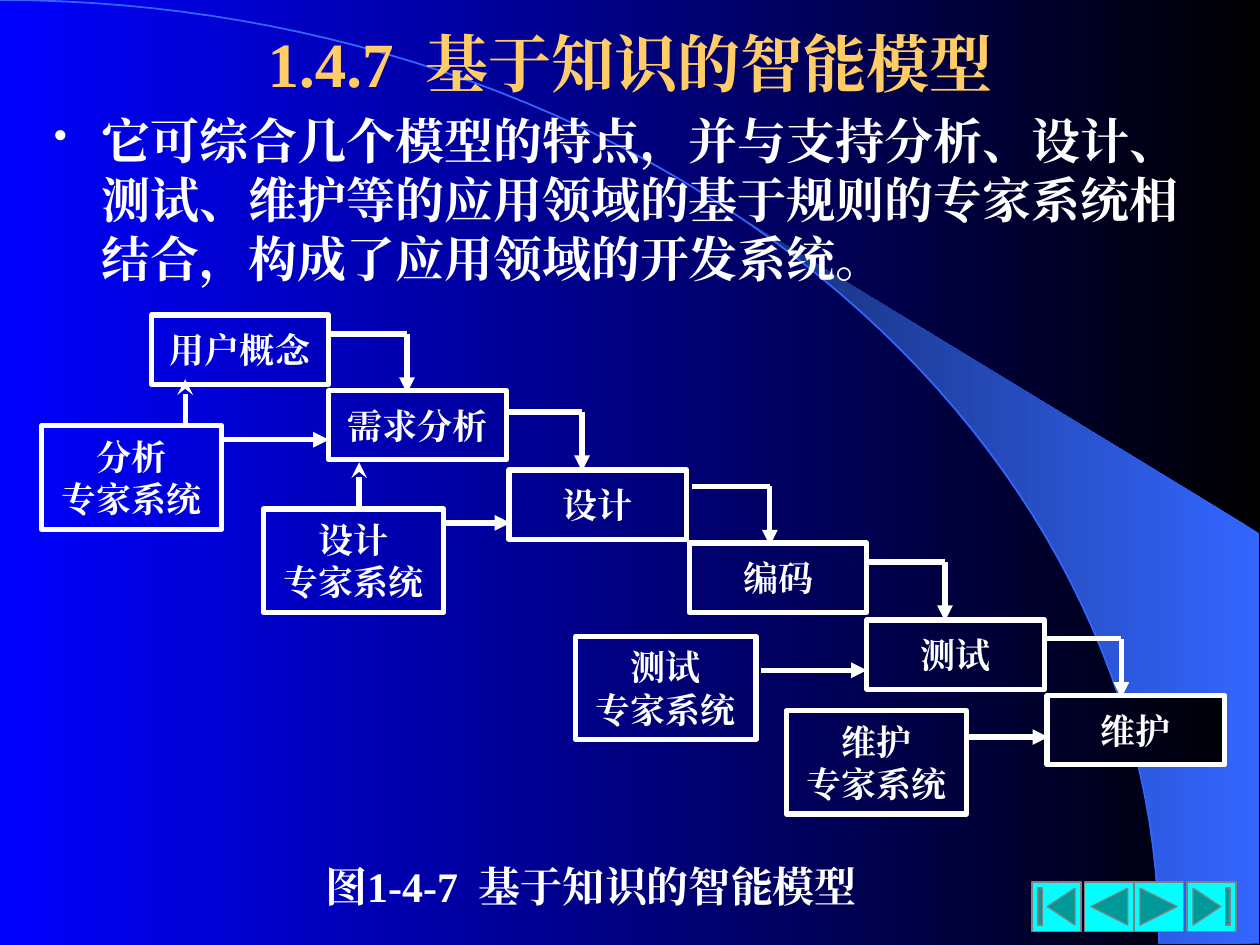
import math
from dataclasses import dataclass

import pptx
import pptx.dml.color
import pptx.enum.dml
import pptx.enum.shapes
import pptx.enum.text
import pptx.oxml
import pptx.oxml.ns
import pptx.util

Inches = pptx.util.Inches
Pt = pptx.util.Pt
MSO = pptx.enum.shapes.MSO_SHAPE
ALIGN = pptx.enum.text.PP_ALIGN
ANCHOR = pptx.enum.text.MSO_ANCHOR
NS = pptx.oxml.ns.nsdecls("a")
FONT = "Times New Roman"
WHITE = "FFFFFF"


@dataclass
class Box:
    text: str
    x: float
    y: float
    w: float = 1.41
    h: float = 0.55


@dataclass
class Arrow:
    x1: float
    y1: float
    x2: float
    y2: float
    head: str = ""
    tail: str = ""


def rgb(value: str):
    return pptx.dml.color.RGBColor.from_string(value)


def set_gradient(fill, start: str, end: str) -> None:
    fill.gradient()
    fill.gradient_angle = 180
    for stop, color, position in zip(fill.gradient_stops, (start, end), (0, 1)):
        stop.color.rgb = rgb(color)
        stop.position = position


def set_line(line, color: str, width: float) -> None:
    line.color.rgb = rgb(color)
    line.width = Pt(width)


def write(sp, text: str, size: int, color: str, align, anchor, inset=(0, 0)) -> None:
    tf = sp.text_frame
    left, top = (Inches(v) for v in inset)
    frame = {"word_wrap": True, "vertical_anchor": anchor, "margin_left": left,
             "margin_right": left, "margin_top": top, "margin_bottom": top}
    for name, value in frame.items():
        setattr(tf, name, value)
    tf.text = text
    for p in tf.paragraphs:
        p.alignment = align
        for r in p.runs:
            for name, value in {"size": Pt(size), "bold": True, "name": FONT}.items():
                setattr(r.font, name, value)
            r.font.color.rgb = rgb(color)
            r.font._element.append(
                pptx.oxml.parse_xml(f'<a:ea {NS} typeface="{FONT}"/>'))


def add_outline(s, points: list, close: bool):
    scaled = [(Inches(x), Inches(y)) for x, y in points]
    builder = s.shapes.build_freeform(*scaled[0])
    builder.add_line_segments(scaled[1:], close=close)
    sp = builder.convert_to_shape()
    sp.shadow.inherit = False
    return sp


def arc_points(start: float, steps: int = 60) -> list:
    rx, ry = 9.2, 7.49
    angles = [start * (1 - i / steps) for i in range(steps + 1)]
    return [(rx * math.cos(a), ry * (1 - math.sin(a))) for a in angles]


def add_backdrop(s) -> None:
    set_gradient(s.background.fill, "000000", "0000FF")
    beam = add_outline(s, arc_points(math.acos(0.64)) + [(9.99, 7.49), (9.99, 4.23)], True)
    set_gradient(beam.fill, "3366FF", "172F75")
    beam.line.fill.background()
    arc = add_outline(s, arc_points(math.pi / 2), False)
    arc.fill.background()
    set_line(arc.line, "3366FF", 1)
    for sp in (arc, beam):
        s.shapes._spTree.insert(2, sp._element)


def add_box(s, box: Box) -> None:
    sp = s.shapes.add_shape(MSO.RECTANGLE, *map(Inches, (box.x, box.y, box.w, box.h)))
    sp.shadow.inherit = False
    sp._element.set("useBgFill", "1")
    set_line(sp.line, WHITE, 3)
    write(sp, box.text, 20, WHITE, ALIGN.CENTER, ANCHOR.MIDDLE)


def add_arrow(s, arrow: Arrow) -> None:
    ends = map(Inches, (arrow.x1, arrow.y1, arrow.x2, arrow.y2))
    cxn = s.shapes.add_connector(pptx.enum.shapes.MSO_CONNECTOR.STRAIGHT, *ends)
    set_line(cxn.line, WHITE, 3)
    ln = cxn.line._get_or_add_ln()
    for tag, kind in (("headEnd", arrow.head), ("tailEnd", arrow.tail)):
        if kind:
            ln.append(pptx.oxml.parse_xml(f'<a:{tag} {NS} type="{kind}"/>'))
    cxn._element.spPr.append(pptx.oxml.parse_xml(f"<a:effectLst {NS}/>"))


def add_elbow(s, x: float, y: float) -> None:
    corner = x + 0.62
    add_arrow(s, Arrow(x, y, corner, y))
    add_arrow(s, Arrow(corner, y, corner, y + 0.47, tail="triangle"))


def add_text(s, x: float, y: float, w: float, h: float):
    return s.shapes.add_textbox(*map(Inches, (x, y, w, h)))


def add_body(s) -> None:
    sp = add_text(s, 0.33, 0.83, 9.25, 1.58)
    write(sp, "它可综合几个模型的特点，并与支持分析、设计、测试、维护等的应用领域的"
              "基于规则的专家系统相结合，构成了应用领域的开发系统。",
          28, WHITE, ALIGN.LEFT, ANCHOR.TOP, (0.1, 0.05))
    pPr = sp.text_frame.paragraphs[0]._p.get_or_add_pPr()
    pPr.set("marL", str(Inches(0.38)))
    pPr.set("indent", str(-Inches(0.38)))
    for xml in (f'<a:buClr {NS}><a:srgbClr val="{WHITE}"/></a:buClr>',
                f'<a:buSzPct {NS} val="80000"/>',
                f'<a:buChar {NS} char="•"/>'):
        pPr.append(pptx.oxml.parse_xml(xml))


STAGES = [Box("用户概念", 1.2, 2.5), Box("需求分析", 2.61, 3.1), Box("设计", 4.04, 3.73),
          Box("编码", 5.47, 4.31), Box("测试", 6.88, 4.92), Box("维护", 8.31, 5.52)]
EXPERTS = [Box(f"{name}\n专家系统", x, y, 1.43, 0.82) for name, x, y in
           (("分析", 0.33, 3.38), ("设计", 2.09, 4.04),
            ("测试", 4.57, 5.05), ("维护", 6.24, 5.64))]
ELBOWS = [(2.61, 2.65), (4, 3.27), (5.49, 3.86), (6.88, 4.46), (8.28, 5.07)]
ARROWS = [Arrow(1.47, 3.01, 1.47, 3.38, head="stealth"),
          Arrow(2.85, 3.67, 2.85, 4.04, head="stealth")]
ARROWS += [Arrow(x1, y, x2, y, tail="triangle") for x1, x2, y in
           ((1.76, 2.61, 3.49), (3.52, 4.05, 4.15), (6.04, 6.88, 5.32), (7.66, 8.32, 5.85))]
BUTTONS = [(MSO.ACTION_BUTTON_BEGINNING, 8.19), (MSO.ACTION_BUTTON_BACK_OR_PREVIOUS, 8.61),
           (MSO.ACTION_BUTTON_FORWARD_OR_NEXT, 9), (MSO.ACTION_BUTTON_END, 9.42)]


def main() -> None:
    prs = pptx.Presentation()
    prs.slide_width, prs.slide_height = Inches(10), Inches(7.5)
    s = prs.slides.add_slide(prs.slide_layouts[5])
    add_backdrop(s)
    title = s.shapes.title
    place = {"left": 0.75, "top": 0.08, "width": 8.5, "height": 0.83}
    for name, value in place.items():
        setattr(title, name, Inches(value))
    write(title, "1.4.7  基于知识的智能模型", 36, "FFCC66",
          ALIGN.CENTER, ANCHOR.MIDDLE, (0.1, 0.05))
    add_body(s)
    for box in STAGES + EXPERTS:
        add_box(s, box)
    for x, y in ELBOWS:
        add_elbow(s, x, y)
    for arrow in ARROWS:
        add_arrow(s, arrow)
    write(add_text(s, 2.58, 6.83, 4.76, 0.45), "图1-4-7  基于知识的智能模型",
          24, WHITE, ALIGN.JUSTIFY, ANCHOR.TOP)
    for kind, x in BUTTONS:
        sp = s.shapes.add_shape(kind, *map(Inches, (x, 7, 0.39, 0.39)))
        sp.shadow.inherit = False
        sp.fill.solid()
        sp.fill.fore_color.rgb = rgb("00FFFF")
        set_line(sp.line, "808080", 0.75)
    prs.save("out.pptx")


if __name__ == "__main__":
    main()
